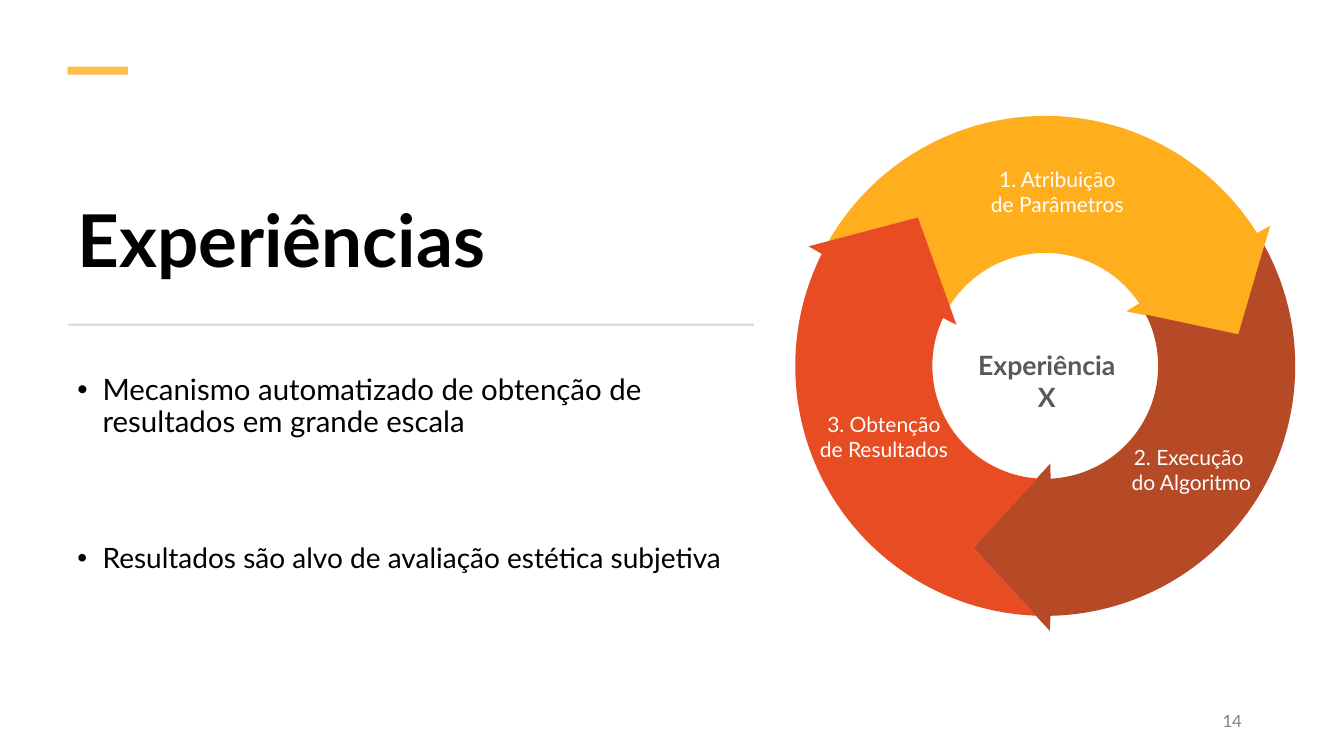
import math
from dataclasses import dataclass
from lxml import etree
from pptx import Presentation
from pptx import util as u
from pptx.dml.color import RGBColor
from pptx.enum import shapes, text
from pptx.oxml import ns


@dataclass(frozen=True)
class Theme:
    """Colours, font and type sizes of the slide."""
    face: str = "Lato"
    ink: str = "000000"
    grey: str = "595959"
    pale: str = "808080"
    rule: str = "D5D5D5"
    white: str = "FFFFFF"
    accent: str = "FFBD47"
    steps: tuple = ("FFAE1D", "B64926", "E84C22")
    title: int = 52
    lead: int = 21
    body: int = 20
    core: int = 19
    label: int = 15
    page: int = 12


T = Theme()
MID = text.PP_ALIGN.CENTER


def assign(obj, vals):
    """Set every attribute named in a dict."""
    for key, val in vals.items():
        setattr(obj, key, val)


def paint(shape, color):
    """Give a shape a flat fill without line or shadow."""
    shape.shadow.inherit = False
    shape.fill.solid()
    shape.fill.fore_color.rgb = RGBColor.from_string(color)
    shape.line.fill.background()


def bar(slide, box, color):
    """Draw a plain filled rectangle."""
    kind = shapes.MSO_SHAPE.RECTANGLE
    paint(slide.shapes.add_shape(kind, *map(u.Inches, box)), color)


def write(slide, box, lines, size, color, bold=False, para=None, frame=None):
    """Place a wrapped text box and return its paragraphs."""
    tf = slide.shapes.add_textbox(*map(u.Inches, box)).text_frame
    assign(tf, {"word_wrap": True, **(frame or {})})
    for i, line in enumerate(lines):
        p = tf.add_paragraph() if i else tf.paragraphs[0]
        assign(p, para or {})
        run = p.add_run()
        run.text = line
        assign(run.font, {"name": T.face, "size": u.Pt(size), "bold": bold})
        run.font.color.rgb = RGBColor.from_string(color)
    return tf.paragraphs


def heading(slide, box):
    """Draw the accent bar, the title and the rule below it."""
    x, y, w, h = box
    bar(slide, (x, y, 0.6, 0.08), T.accent)
    write(slide, (x, y + 0.52, w, 1.68), ["Experiências"], T.title, T.ink, True,
          {"line_spacing": 0.9}, {"vertical_anchor": text.MSO_ANCHOR.BOTTOM})
    bar(slide, (x + 0.01, y + h, 6.8, 0.02), T.rule)


def points(slide, box):
    """Write the two bulleted statements."""
    lines = ["Mecanismo automatizado de obtenção de resultados em grande escala",
             "Resultados são alvo de avaliação estética subjetiva"]
    paras = write(slide, box, lines, T.lead, T.ink, para={"line_spacing": 0.9})
    indent = u.Inches(0.25)
    for p in paras:
        props = p._p.get_or_add_pPr()
        props.set("marL", str(indent))
        props.set("indent", str(-indent))
        etree.SubElement(props, ns.qn("a:buFont")).set("typeface", "Arial")
        etree.SubElement(props, ns.qn("a:buChar")).set("char", "•")
    paras[1].space_before = u.Pt(75.5)
    paras[1].runs[0].font.size = u.Pt(T.body)


def arc(r, a, b):
    """Return polar points of two Bezier curves along an arc in degrees."""
    half = (b - a) / 2
    pull = 4 / 3 * math.tan(math.radians(half) / 4)
    reach, turn = r * math.hypot(1, pull), math.degrees(math.atan(pull))
    pts = [(r, a)]
    for start in (a, a + half):
        end = start + half
        pts += [(reach, start + turn), (reach, end - turn), (r, end)]
    return pts


def bend(form, starts):
    """Turn three line segments at each start into one Bezier curve."""
    segs = list(form._element.iter(ns.qn("a:lnTo")))
    for i in starts:
        curve = etree.Element(ns.qn("a:cubicBezTo"))
        segs[i].addprevious(curve)
        for seg in segs[i:i + 3]:
            curve.append(seg[0])
            seg.getparent().remove(seg)


def arrow(slide, mid, tail, tip, color):
    """Draw a notched ring arrow clockwise between two angles in degrees."""
    polar = [(1.94, tail), *arc(2.48, tail - 19.5, tip - 22.8),
             (2.63, tip - 22.6), (1.94, tip), (0.97, tip - 24.6),
             *arc(1.12, tip - 24.3, tail - 17.7)]
    pts = [(u.Inches(mid[0] + r * math.cos(math.radians(a))),
            u.Inches(mid[1] + r * math.sin(math.radians(a)))) for r, a in polar]
    build = slide.shapes.build_freeform(*pts[0])
    build.add_line_segments(pts[1:], close=True)
    form = build.convert_to_shape()
    bend(form, (1, 4, 11, 14))
    paint(form, color)


def cycle(slide, box):
    """Draw the three-step cycle with its labels and centre."""
    x, y, w, h = box
    mid = x + w / 2, y + h / 2
    tips = (-9.3, 111.6, 229.4)
    for i, color in enumerate(T.steps):
        tail = tips[i - 1] - (0 if i else 360)
        arrow(slide, mid, tail, tips[i], color)
    write(slide, (mid[0] - 0.71, mid[1] - 0.17, 1.45, 0.62), ["Experiência X"],
          T.core, T.grey, True, {"alignment": MID},
          dict.fromkeys(("margin_left", "margin_right", "margin_top",
                         "margin_bottom"), 0))
    labels = [(1.8, 0.45, ["1. Atribuição de Parâmetros"]),
              (3.13, 3.21, ["2. Execução ", "do Algoritmo"]),
              (0.08, 2.88, ["3. Obtenção", "de Resultados"])]
    for dx, dy, lines in labels:
        write(slide, (x + dx, y + dy, 1.6, 0.61), lines, T.label, T.white,
              para={"alignment": MID})


def footer(slide, box):
    """Write the page number."""
    write(slide, box, ["14"], T.page, T.pale,
          para={"alignment": text.PP_ALIGN.RIGHT},
          frame={"vertical_anchor": text.MSO_ANCHOR.MIDDLE})


def main():
    """Build and save the slide."""
    deck = Presentation()
    assign(deck, {"slide_width": u.Inches(40 / 3), "slide_height": u.Inches(7.5)})
    slide = deck.slides.add_slide(deck.slide_layouts[6])
    heading(slide, (0.67, 0.66, 6.86, 2.55))
    points(slide, (0.67, 3.67, 6.86, 3.09))
    cycle(slide, (7.89, 1.15, 4.96, 4.96))
    footer(slide, (9.42, 6.95, 3, 0.4))
    deck.save("out.pptx")


if __name__ == "__main__":
    main()
